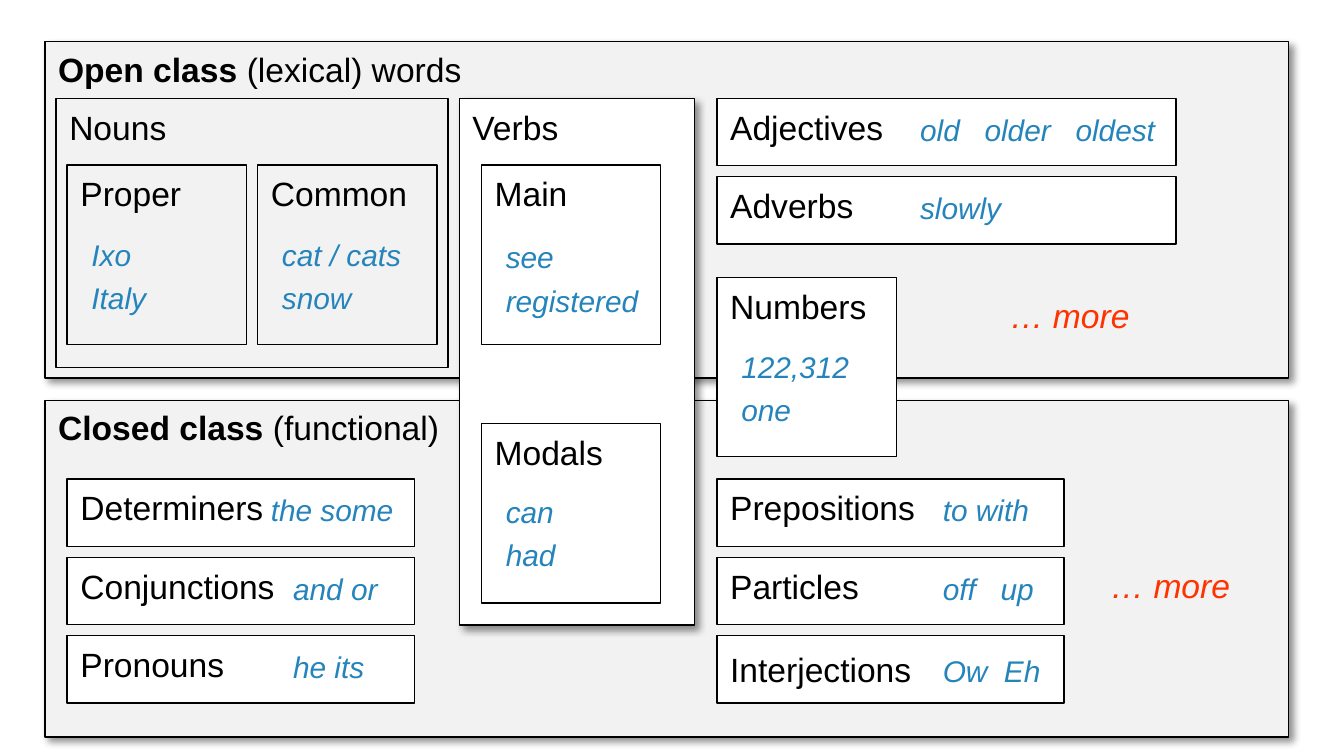
from lxml import etree
from pptx import Presentation
from pptx.dml.color import RGBColor
from pptx.enum.shapes import MSO_SHAPE as Preset
from pptx.enum.text import MSO_ANCHOR as Anchor, MSO_AUTO_SIZE as AutoSize, PP_ALIGN as Align
from pptx.oxml import parse_xml
from pptx.oxml.ns import nsdecls
from pptx.util import Cm, Pt

BLACK = RGBColor(0x00, 0x00, 0x00)
WHITE = RGBColor(0xFF, 0xFF, 0xFF)
PANEL_GREY = RGBColor(0xF2, 0xF2, 0xF2)
EXAMPLE_BLUE = RGBColor(0x25, 0x84, 0xBB)
MORE_RED = RGBColor(0xFF, 0x33, 0x00)
SHADOW = (f'<a:effectLst {nsdecls("a")}><a:outerShdw blurRad="50800" dist="38100" '
          'dir="2700000" algn="tl" rotWithShape="0"><a:srgbClr val="000000">'
          '<a:alpha val="43000"/></a:srgbClr></a:outerShdw></a:effectLst>')

prs = Presentation()
prs.slide_width, prs.slide_height = Cm(25.4), Cm(14.28)
slide = prs.slides.add_slide(prs.slide_layouts[6])


def add_box(left, top, width, height, fill=None, shadow=False):
    box = slide.shapes.add_shape(Preset.RECTANGLE, Cm(left), Cm(top), Cm(width), Cm(height))
    box.shadow.inherit = False
    if shadow:
        properties = box.fill._xPr
        properties.remove(properties.find("{*}effectLst"))
        properties.append(parse_xml(SHADOW))
    if fill is None:
        box.fill.background()
    else:
        box.fill.solid()
        box.fill.fore_color.rgb = fill
    box.line.color.rgb = BLACK
    box.line.width = Pt(0.75)
    return box


def add_words(left, top, width, lines, size=18, color=BLACK, italic=False):
    height = {18: 1.02, 16: 0.94}[size] + 0.81 * (len(lines) - 1)
    words = slide.shapes.add_textbox(Cm(left), Cm(top), Cm(width), Cm(height))
    frame = words.text_frame
    frame.word_wrap = True
    frame.auto_size = AutoSize.SHAPE_TO_FIT_TEXT
    frame.text = "\n".join(lines)
    for number, paragraph in enumerate(frame.paragraphs):
        if number:
            paragraph.space_before = Pt(4)
        for run in paragraph.runs:
            run.font.name, run.font.size = "Arial", Pt(size)
            run.font.color.rgb, run.font.italic = color, italic
    return words


# Panels for the two word classes
panels = [(7.57, "Closed class ", "(functional)"), (0.79, "Open class ", "(lexical) words")]
for top, class_name, detail in panels:
    add_box(0.85, top, 23.5, 6.35, PANEL_GREY, shadow=True)
    heading = add_words(0.85, top, 10.16, [class_name])
    paragraph = heading.text_frame.paragraphs[0]
    paragraph.runs[0].font.bold = True
    detail_run = paragraph.add_run()
    detail_run.text = detail
    detail_run.font.name, detail_run.font.size = "Arial", Pt(18)
    detail_run.font.color.rgb = BLACK

# Groups holding the square cards
add_box(1.06, 1.86, 7.41, 5.08)
add_words(1.06, 1.89, 4.02, ["Nouns"])
add_box(8.68, 1.86, 4.45, 9.95, WHITE, shadow=True)
add_words(8.68, 1.89, 4.45, ["Verbs"])

# Square cards: name, examples, left, top, gap down to the examples, fill
cards = [
    ("Proper", ["Ixo", "Italy"], 1.27, 3.12, 1.22, None),
    ("Common", ["cat / cats", "snow"], 4.87, 3.12, 1.22, None),
    ("Main", ["see", "registered"], 9.1, 3.12, 1.27, None),
    ("Modals", ["can", "had"], 9.1, 8, 1.2, None),
    ("Numbers", ["122,312", "one"], 13.55, 5.24, 1.22, WHITE),
]
for name, examples, left, top, gap, fill in cards:
    add_box(left, top, 3.39, 3.39, fill)
    add_words(left, top + 0.03, 3.6, [name])
    add_words(left + 0.21, top + gap, 3.18, examples, 16, EXAMPLE_BLUE, italic=True)

# Stacks of word rows: left, first top, width, (name, example, example left)
ROW_STEP = 1.48
stacks = [
    (13.55, 1.86, 8.68, [("Adjectives", "old   older   oldest", 17.14),
                         ("Adverbs", "slowly", 17.14)]),
    (1.27, 9.05, 6.56, [("Determiners", "the some", 4.87),
                        ("Conjunctions", "and or", 5.29),
                        ("Pronouns", "he its", 5.29)]),
    (13.55, 9.05, 6.56, [("Prepositions", "to with", 17.57),
                         ("Particles", "off   up", 17.57),
                         ("Interjections", "Ow  Eh", 17.57)]),
]
for left, first_top, width, rows in stacks:
    for number, (name, example, example_left) in enumerate(rows):
        top = first_top + number * ROW_STEP
        row = add_box(left, top, width, 1.27, WHITE)
        example_gap = 0.12
        if name == "Interjections":
            example_gap = 0.2
            frame = row.text_frame
            frame.word_wrap = False
            frame.vertical_anchor = Anchor.MIDDLE
            frame.text = name
            frame.paragraphs[0].alignment = Align.LEFT
            font = frame.paragraphs[0].runs[0].font
            font.name, font.size = "Arial", Pt(18)
            font.color.rgb = BLACK
        else:
            add_words(left, top + 0.03, 4.87, [name])
        add_words(example_left, top + example_gap, 5.5 if width > 8 else 3.18,
                  [example], 16, EXAMPLE_BLUE, italic=True)

# Remarks that each class goes on
for left, top, width in [(18.84, 5.45, 4.02), (20.74, 10.54, 3.18)]:
    add_words(left, top, width, ["… more"], color=MORE_RED, italic=True)

prs.save("out.pptx")
